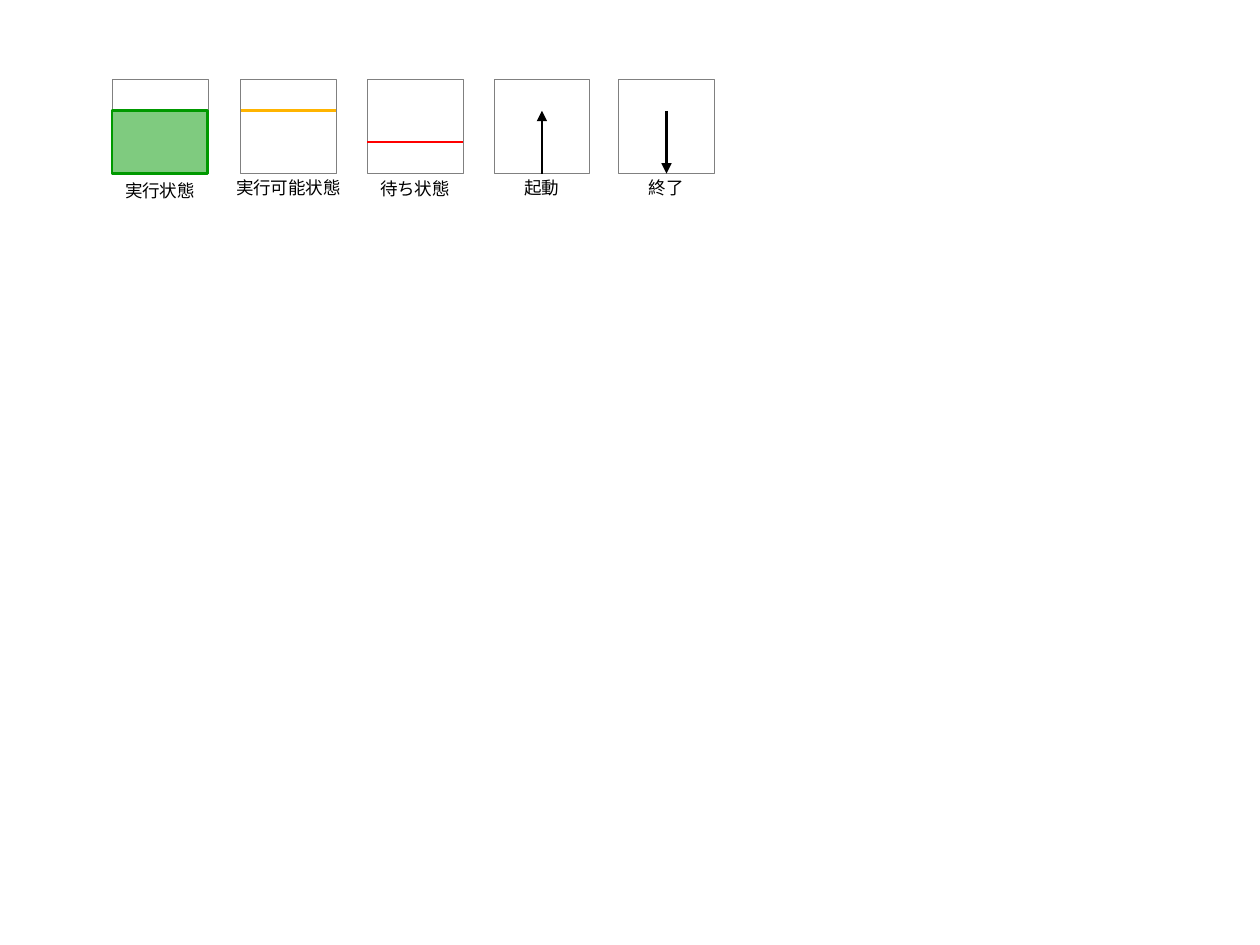
from lxml import etree
from pptx import Presentation
from pptx.dml.color import RGBColor
from pptx.enum import shapes, text
from pptx.oxml import ns
from pptx.util import Cm, Pt

FONT = "Noto Sans CJK JP"
WIDE, HIGH = 1.93, 1.9
TOP, STEP = 1.6, HIGH / 3

# left edge, label, label drop, mark kind, mark colour
STATES = [
    (2.26, "実行状態", 0.06, "block", "009900"),
    (4.85, "実行可能状態", 0, "ready", "FFB400"),
    (7.4, "待ち状態", 0.02, "wait", "FF0000"),
    (9.96, "起動", 0, "start", "000000"),
    (12.47, "終了", 0, "end", "000000"),
]

# line ends as fractions of the box: from x, from y, to x, to y
LINES = {
    "ready": (0, 1 / 3, 1, 1 / 3),
    "wait": (0, 2 / 3, 1, 2 / 3),
    "start": (0.5, 1, 0.5, 1 / 3),
    "end": (0.5, 1 / 3, 0.5, 1),
}


def color(code):
    return RGBColor.from_string(code)


def add(parent, tag, **attrs):
    return etree.SubElement(parent, ns.qn(tag), attrs)


def rect(slide, x, y, w, h, line, width, fill=None):
    box = slide.shapes.add_shape(
        shapes.MSO_SHAPE.RECTANGLE, Cm(x), Cm(y), Cm(w), Cm(h))
    box.shadow.inherit = False
    box.line.color.rgb = color(line)
    box.line.width = Pt(width)
    if fill:
        box.fill.solid()
        box.fill.fore_color.rgb = color(fill)
        tint = box.fill._xPr.find(".//" + ns.qn("a:srgbClr"))
        add(tint, "a:alpha", val="50000")
    else:
        box.fill.background()


def stroke(slide, x, y, kind, code):
    x1, y1, x2, y2 = LINES[kind]
    line = slide.shapes.add_connector(
        shapes.MSO_CONNECTOR.STRAIGHT,
        Cm(x + x1 * WIDE), Cm(y + y1 * HIGH),
        Cm(x + x2 * WIDE), Cm(y + y2 * HIGH))
    line.line.color.rgb = color(code)
    line.line.width = Pt(1.5)
    if x1 == x2:
        add(line.line._get_or_add_ln(), "a:tailEnd", type="triangle")
    add(line._element.spPr, "a:effectLst")


def label(slide, mid, y, words):
    wide = 3.15
    box = slide.shapes.add_textbox(Cm(mid - wide / 2), Cm(y), Cm(wide), Cm(0.63))
    frame = box.text_frame
    frame.word_wrap = True
    para = frame.paragraphs[0]
    para.alignment = text.PP_ALIGN.CENTER
    para.line_spacing = 0.9
    run = para.add_run()
    run.text = words
    for key, value in {"name": FONT, "size": Pt(10)}.items():
        setattr(run.font, key, value)
    run.font.color.rgb = color("000000")
    add(run.font._element, "a:ea", typeface=FONT)


def state(slide, x, y, words, drop, kind, code):
    # Frame
    rect(slide, x, y, WIDE, HIGH, "808080", 0.25)
    # Mark
    if kind == "block":
        rect(slide, x, y + STEP, WIDE, 2 * STEP, code, 1.5, code)
    else:
        stroke(slide, x, y, kind, code)
    # Caption
    label(slide, x + WIDE / 2, y + HIGH + drop, words)


def main():
    deck = Presentation()
    deck.slide_width, deck.slide_height = Cm(25.4), Cm(19.05)
    slide = deck.slides.add_slide(deck.slide_layouts[6])
    for x, *rest in STATES:
        state(slide, x, TOP, *rest)
    deck.save("out.pptx")


if __name__ == "__main__":
    main()
